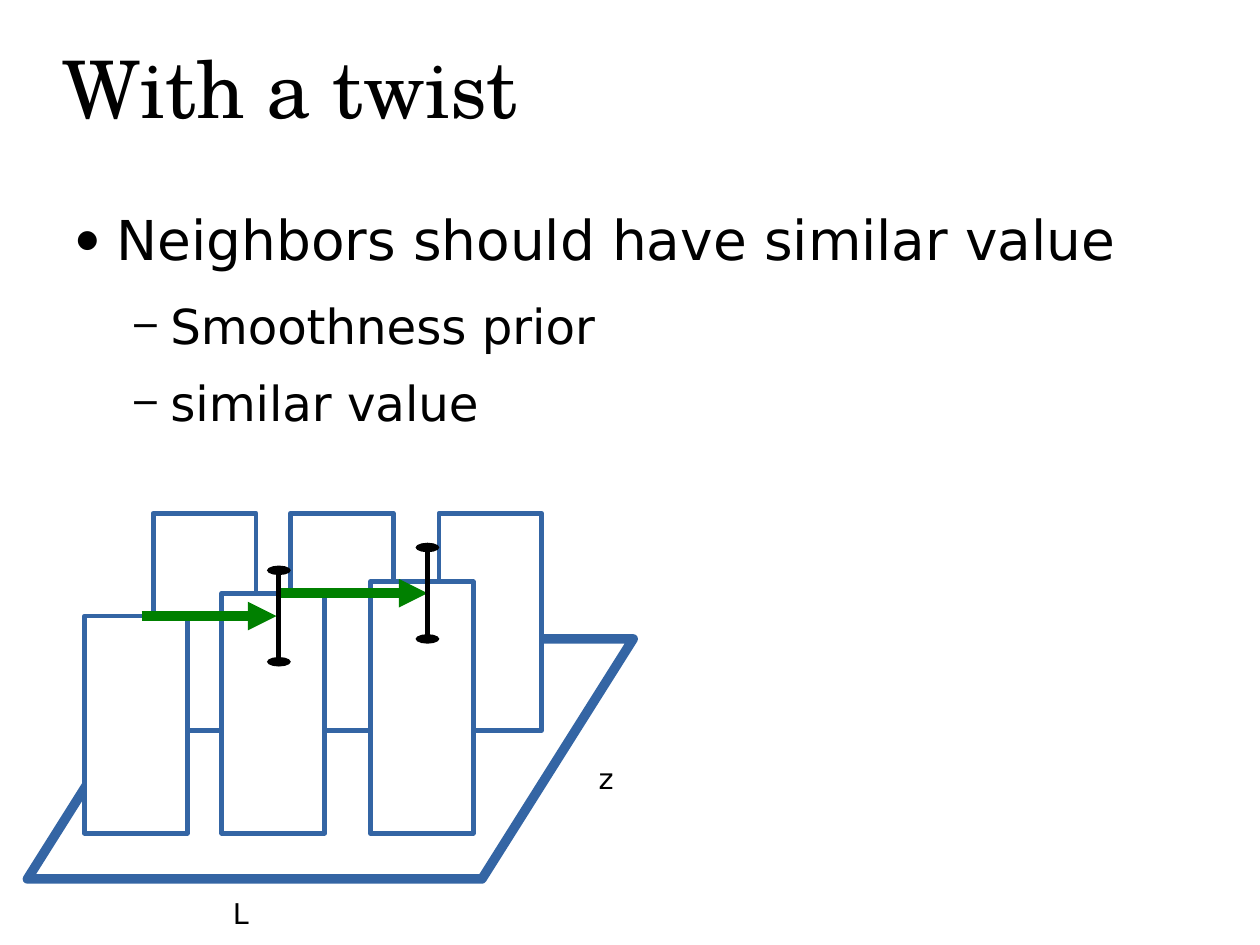
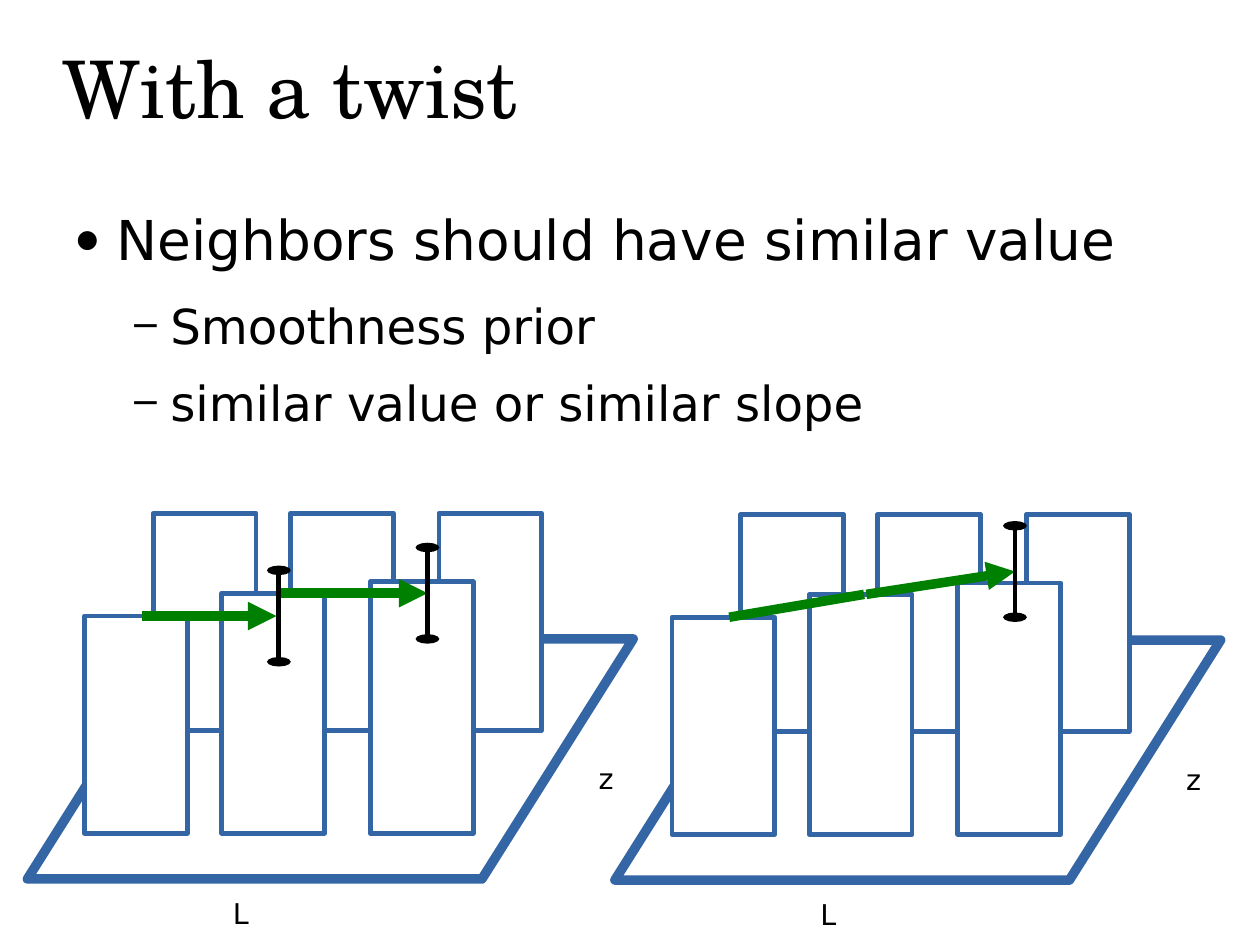
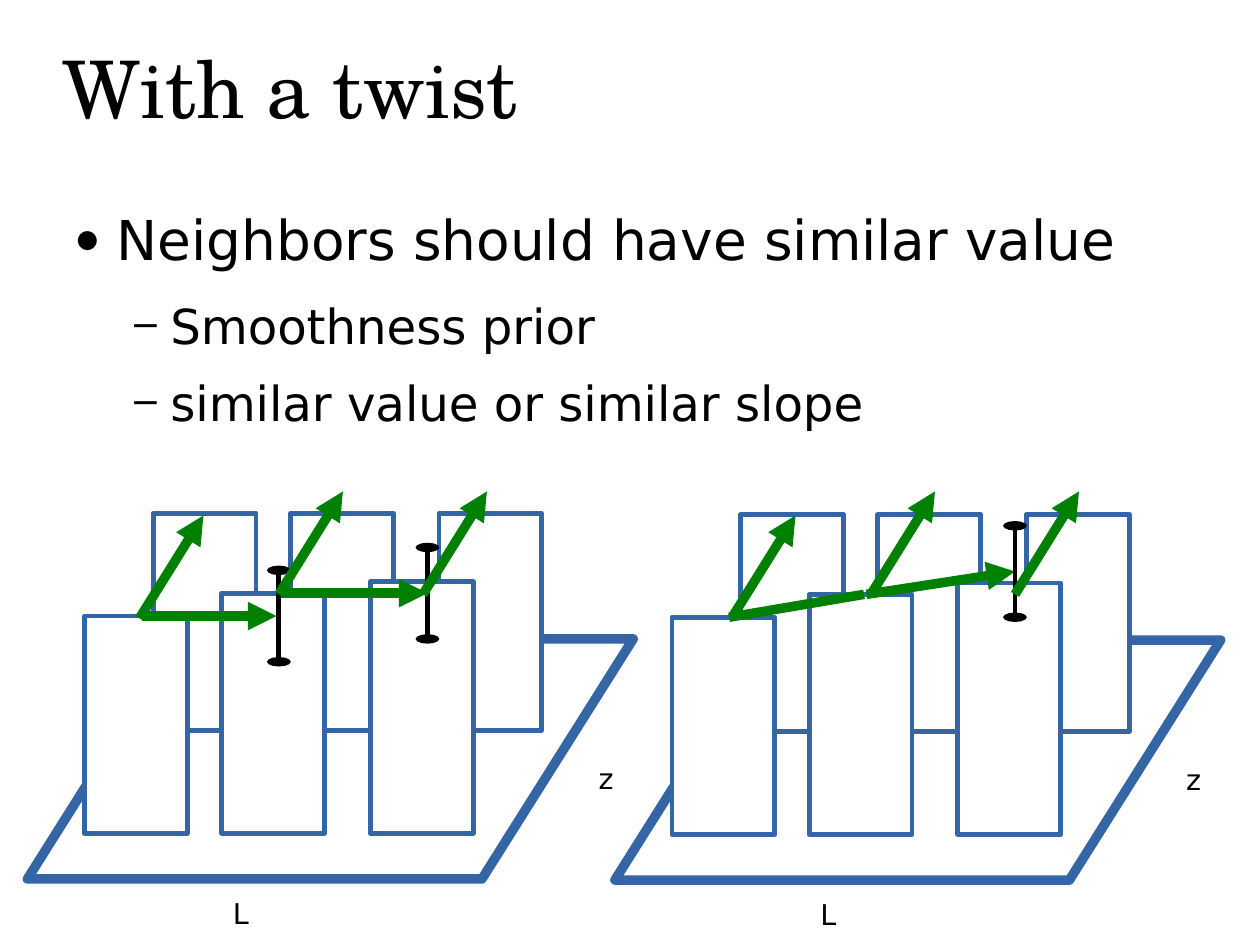
import pptx
import pptx.util
import pptx.dml.color
import pptx.enum.shapes
import pptx.enum.text
import pptx.oxml.ns
import lxml.etree

Inches = pptx.util.Inches
Pt = pptx.util.Pt
Shapes = pptx.enum.shapes.MSO_SHAPE

COLORS = {"text": "000000", "paper": "FFFFFF", "outline": "3465A4", "arrow": "008000"}
TITLE_FONT = "TeX Gyre Schola"
BODY_FONT = "DejaVu Sans"

# Per outline level: indent, size, space after, bullet, bullet size in percent
LEVELS = [(0.47, 34.6, 15.2, "●", 45), (0.94, 30.4, 12.2, "−", 75)]
HANGING = 0.35

# Left and top of each bar; a row shares one bottom edge
BAR_WIDTH = 0.9
BACK_ROW = (6.39, [(1.34, 4.49), (2.54, 4.49), (3.84, 4.49)])
FRONT_ROW = (7.29, [(0.74, 5.39), (1.94, 5.19), (3.24, 5.09)])

# Offsets of the two diagrams
LEFT = (0, 0)
RIGHT = (5.14, 0.01)

# Arrows into the depth: starts on the left diagram, shift to the right one
DEPTH_STARTS = [(1.22, 5.41), (2.44, 5.2), (3.7, 5.2)]
DEPTH_SHIFT = 5.18
DEPTH_STEP = (0.56, -0.9)


def color(name):
    return pptx.dml.color.RGBColor.from_string(COLORS[name])


def add_xml(parent, tag, **attributes):
    return lxml.etree.SubElement(parent, pptx.oxml.ns.qn(tag), attributes)


def style_text(para, size, font):
    for span in para.runs:
        span.font.size = Pt(size)
        span.font.name = font
        span.font.color.rgb = color("text")


def clear_insets(frame):
    frame.margin_left = frame.margin_right = frame.margin_top = frame.margin_bottom = 0


def add_title(page, text):
    title = page.shapes.title
    title.left, title.top = Inches(0.55), Inches(0.28)
    title.width, title.height = Inches(10.05), Inches(0.95)
    frame = title.text_frame
    frame.text = text
    clear_insets(frame)
    frame.auto_size = pptx.enum.text.MSO_AUTO_SIZE.NONE
    frame.vertical_anchor = pptx.enum.text.MSO_ANCHOR.MIDDLE
    frame.paragraphs[0].alignment = pptx.enum.text.PP_ALIGN.LEFT
    style_text(frame.paragraphs[0], 50, TITLE_FONT)


def add_outline(page, items):
    box = page.shapes.add_textbox(Inches(0.55), Inches(1.8), Inches(9.92), Inches(4.99))
    frame = box.text_frame
    frame.word_wrap = True
    clear_insets(frame)
    for index, (level, text) in enumerate(items):
        para = frame.paragraphs[0] if index == 0 else frame.add_paragraph()
        indent, size, after, bullet, percent = LEVELS[level]
        para.text = text
        para.level = level
        para.space_after = Pt(after)
        style_text(para, size, BODY_FONT)
        # Bullet and hanging indent
        properties = para._p.get_or_add_pPr()
        properties.set("marL", str(Inches(indent)))
        properties.set("indent", str(Inches(-HANGING)))
        bullet_color = add_xml(properties, "a:buClr")
        add_xml(bullet_color, "a:srgbClr", val=COLORS["text"])
        add_xml(properties, "a:buSzPct", val=str(percent * 1000))
        add_xml(properties, "a:buFont", typeface=BODY_FONT)
        add_xml(properties, "a:buChar", char=bullet)


def add_label(page, text, left, top):
    box = page.shapes.add_textbox(Inches(left), Inches(top), Inches(0.9), Inches(0.48))
    box.text_frame.word_wrap = True
    box.text_frame.text = text
    style_text(box.text_frame.paragraphs[0], 18, BODY_FONT)


def add_outlined(page, kind, left, top, width, height, weight):
    shape = page.shapes.add_shape(kind, Inches(left), Inches(top), Inches(width), Inches(height))
    shape.shadow.inherit = False
    shape.line.color.rgb = color("outline")
    shape.line.width = Pt(weight)
    add_xml(shape.line._get_or_add_ln(), "a:round")
    return shape


def add_line(page, start, end, color_name, weight):
    line = page.shapes.add_connector(
        pptx.enum.shapes.MSO_CONNECTOR.STRAIGHT, *map(Inches, (*start, *end)))
    line.line.color.rgb = color(color_name)
    line.line.width = Pt(weight)
    add_xml(line._element.spPr, "a:effectLst")
    return line.line._get_or_add_ln()


def add_arrow(page, start, end, pointed=True):
    stroke = add_line(page, start, end, "arrow", 6)
    if pointed:
        add_xml(stroke, "a:tailEnd", type="triangle", w="med", len="med")


def add_range(page, x, middle):
    stroke = add_line(page, (x, middle - 0.4), (x, middle + 0.4), "text", 3)
    for tag in ("a:headEnd", "a:tailEnd"):
        add_xml(stroke, tag, type="oval", w="lg", len="sm")


def add_grid(page, offset):
    """Floor with two rows of bars and its axis labels."""
    dx, dy = offset
    floor = add_outlined(page, Shapes.PARALLELOGRAM, 0.24 + dx, 5.59 + dy, 5.3, 2.1, 6)
    floor.adjustments[0] = 0.63
    floor.fill.background()
    for bottom, bars in (BACK_ROW, FRONT_ROW):
        for left, top in bars:
            bar = add_outlined(page, Shapes.RECTANGLE, left + dx, top + dy,
                               BAR_WIDTH, bottom - top, 3)
            bar.fill.solid()
            bar.fill.fore_color.rgb = color("paper")
    add_label(page, "L", 1.94 + dx, 7.79 + dy)
    add_label(page, "z", 5.14 + dx, 6.61 + dy)


def add_value_diagram(page):
    add_grid(page, LEFT)
    add_arrow(page, (1.24, 5.39), (2.42, 5.39))
    add_arrow(page, (2.44, 5.19), (3.74, 5.19))
    add_range(page, 3.74, 5.19)
    add_range(page, 2.44, 5.39)


def add_slope_diagram(page):
    add_grid(page, RIGHT)
    add_arrow(page, (6.38, 5.4), (7.56, 5.2), pointed=False)
    add_arrow(page, (7.58, 5.2), (8.88, 5))
    add_range(page, 8.88, 5)


def add_depth_arrows(page):
    for shift in (0, DEPTH_SHIFT):
        for x, y in DEPTH_STARTS:
            add_arrow(page, (x + shift, y), (x + shift + DEPTH_STEP[0], y + DEPTH_STEP[1]))


def add_page(deck, last_item, diagrams):
    page = deck.slides.add_slide(deck.slide_layouts[5])
    add_title(page, "With a twist")
    add_outline(page, [(0, "Neighbors should have similar value"),
                       (1, "Smoothness prior"),
                       (1, last_item)])
    for draw in diagrams:
        draw(page)


def main():
    deck = pptx.Presentation()
    # The page is 28 by 21 centimetres
    deck.slide_width, deck.slide_height = pptx.util.Cm(28), pptx.util.Cm(21)
    both = "similar value or similar slope"
    add_page(deck, "similar value", [add_value_diagram])
    add_page(deck, both, [add_slope_diagram, add_value_diagram])
    add_page(deck, both, [add_slope_diagram, add_value_diagram, add_depth_arrows])
    deck.save("out.pptx")


if __name__ == "__main__":
    main()
